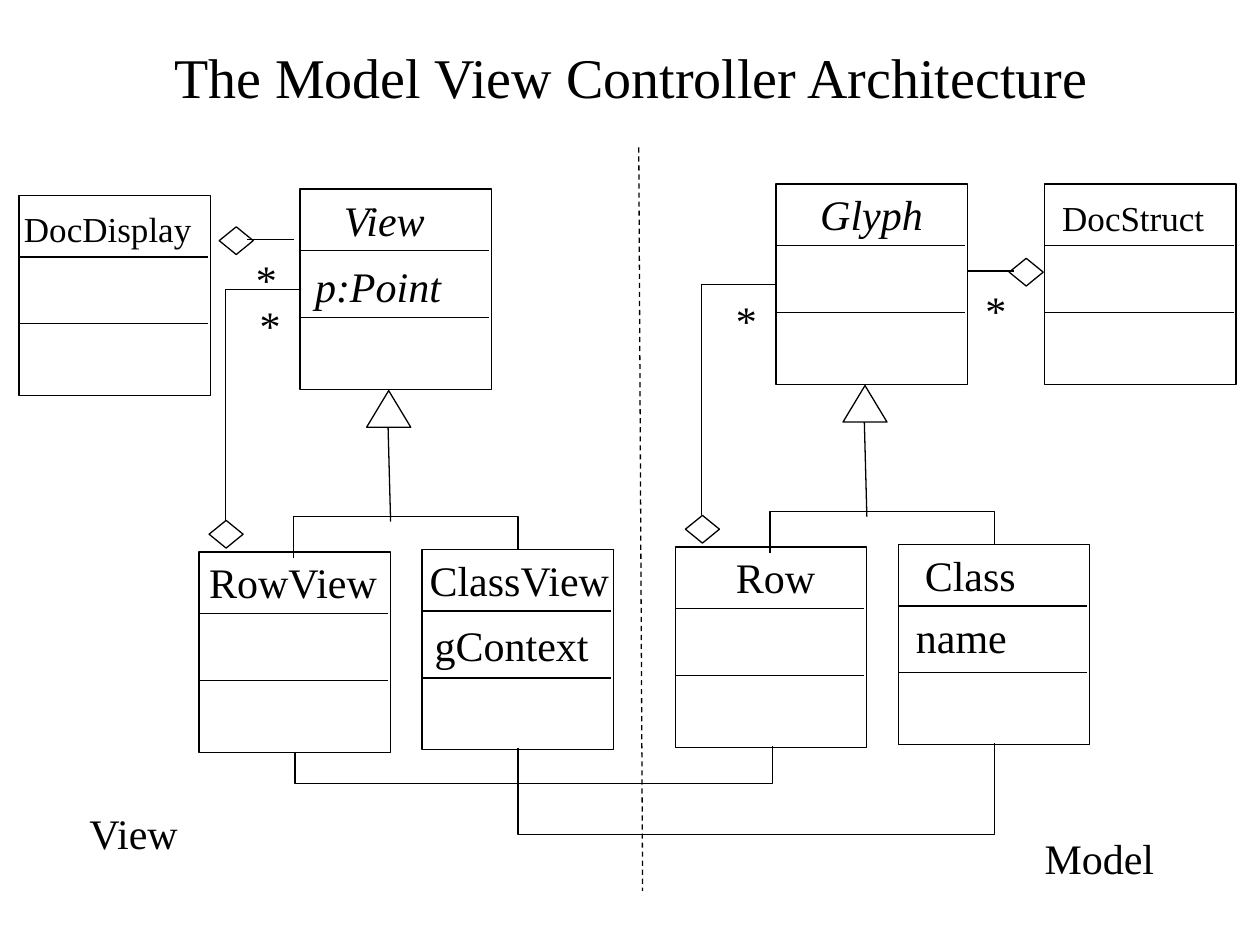
from lxml import etree
from pptx import Presentation
from pptx.dml.color import RGBColor
from pptx.enum import dml, shapes, text
from pptx.oxml.ns import qn
from pptx.util import Inches, Pt

BLACK = RGBColor(0, 0, 0)
FONT = "Times New Roman"
BOX_W, BOX_H = 1.52, 1.59
GEM_W, GEM_H = 0.27, 0.22
SLACK = 0.02  # keeps a label from breaking at its own width
SHAPE = shapes.MSO_SHAPE
LINK = shapes.MSO_CONNECTOR


def style(frame, words, size=24, italic=False, align=None):
    """Write one formatted paragraph into a text frame."""
    para = frame.paragraphs[0]
    para.alignment = align
    run = para.add_run()
    run.text = words
    run.font.name, run.font.size = FONT, Pt(size)
    run.font.italic, run.font.color.rgb = italic, BLACK


def label(tree, words, x, y, width, **form):
    height = form.get("size", 24) / 60
    area = tree.add_textbox(*map(Inches, (x, y, width + SLACK, height)))
    frame = area.text_frame
    frame.margin_left = frame.margin_right = 0
    frame.margin_top = frame.margin_bottom = 0
    frame.word_wrap = False
    frame.auto_size = text.MSO_AUTO_SIZE.SHAPE_TO_FIT_TEXT
    style(frame, words, **form)


def ink(part):
    part.line.color.rgb, part.line.width = BLACK, Pt(0.75)


def outline(tree, kind, x, y, width, height):
    part = tree.add_shape(kind, *map(Inches, (x, y, width, height)))
    part.shadow.inherit = False
    part.fill.background()
    ink(part)


def line(tree, x1, y1, x2, y2, kind=LINK.STRAIGHT):
    part = tree.add_connector(kind, *map(Inches, (x1, y1, x2, y2)))
    ink(part)
    etree.SubElement(part._element.spPr, qn("a:effectLst"))
    return part


def elbow(tree, x1, y1, x2, y2, rail=None):
    """Leave (x1, y1) vertically, by way of a rail if given, to (x2, y2)."""
    # The frame is turned a quarter, so its width is the vertical span
    wide, high = y1 - y2, x2 - x1
    left, top = (x1 + x2 - wide) / 2, (y1 + y2 - high) / 2
    part = line(tree, left, top, left + wide, top + high, LINK.ELBOW)
    props = part._element.spPr
    frame = props.find(qn("a:xfrm"))
    for name, value in (("rot", "5400000"), ("flipH", "1"), ("flipV", "1")):
        frame.set(name, value)
    geom = props.find(qn("a:prstGeom"))
    if rail is None:
        geom.set("prst", "bentConnector2")
        return
    guides = geom.find(qn("a:avLst"))
    if guides is None:
        guides = etree.SubElement(geom, qn("a:avLst"))
    share = round((y1 - rail) / wide * 100000)
    etree.SubElement(guides, qn("a:gd"), name="adj1", fmla=f"val {share}")


def box(tree, x, y, name, indent, width, **form):
    """Class box with three compartments and its name."""
    parts = tree.add_group_shape().shapes
    outline(parts, SHAPE.RECTANGLE, x, y, BOX_W, BOX_H)
    for drop in (0.49, 1.02):
        line(parts, x, y + drop, x + 1.5, y + drop)
    drop = 0.1 if form.get("size") == 20 else 0.04
    label(tree, name, x + indent, y + drop, width, **form)


def family(tree, x, y, base, row, leaf):
    """Base class with its two subclasses; each is name, indent, width."""
    box(tree, x + 0.8, y, *base, italic=True)
    box(tree, x, y + 2.88, *row)
    box(tree, x + 1.77, y + 2.86, *leaf)
    # Inheritance
    outline(tree, SHAPE.ISOSCELES_TRIANGLE, x + 1.33, y + 1.6, 0.35, 0.29)
    line(tree, x + 1.5, y + 1.89, x + 1.52, y + 2.64)
    elbow(tree, x + 0.75, y + 2.93, x + 2.53, y + 2.86, y + 2.6)
    # Aggregation of the base class by the row
    outline(tree, SHAPE.DIAMOND, x + 0.08, y + 2.63, GEM_W, GEM_H)
    elbow(tree, x + 0.21, y + 2.63, x + 0.8, y + 0.8)
    label(tree, "*", x + 0.48, y + 0.88, 0.17)


def owner(tree, x, y, name, indent, width, gem, wire, star):
    """Document class with its aggregation link."""
    box(tree, x, y, name, indent, width, size=20)
    outline(tree, SHAPE.DIAMOND, *gem, GEM_W, GEM_H)
    line(tree, *wire)
    label(tree, "*", *star, 0.17)


def heading(slide, x, y, width, height):
    title = slide.shapes.title
    title.left, title.top = Inches(x), Inches(y)
    title.width, title.height = Inches(width), Inches(height)
    frame = title.text_frame
    frame.vertical_anchor = text.MSO_ANCHOR.MIDDLE
    frame.auto_size = text.MSO_AUTO_SIZE.NONE
    style(frame, "The Model View Controller Architecture", size=32,
          align=text.PP_ALIGN.CENTER)


def main():
    deck = Presentation()
    deck.slide_width, deck.slide_height = Inches(10), Inches(7.5)
    slide = deck.slides.add_slide(deck.slide_layouts[5])
    tree = slide.shapes
    heading(slide, 0.23, 0.24, 9.56, 0.72)

    # Model side
    owner(tree, 8.29, 1.46, "DocStruct", 0.14, 1.13,
          (8.01, 2.05), (8.05, 2.15, 7.68, 2.15), (7.82, 2.26))
    family(tree, 5.36, 1.46, ("Glyph", 0.35, 0.82),
           ("Row", 0.48, 0.63), ("Class", 0.21, 0.72))
    label(tree, "name", 7.27, 4.85, 0.72)
    label(tree, "Model", 8.29, 6.61, 0.87)

    # View side
    owner(tree, 0.15, 1.55, "DocDisplay", 0.04, 1.33,
          (1.74, 1.8), (1.96, 1.9, 2.33, 1.9), (2.03, 2.01))
    family(tree, 1.58, 1.5, ("View", 0.35, 0.67),
           ("RowView", 0.08, 1.35), ("ClassView", 0.06, 1.45))
    label(tree, "p:Point", 2.5, 2.07, 1, italic=True)
    label(tree, "gContext", 3.45, 4.92, 1.22)
    label(tree, "View", 0.71, 6.41, 0.72)

    # Divider and the links across it
    split = line(tree, 5.07, 1.17, 5.1, 7.07)
    split.line.dash_style = dml.MSO_LINE.DASH
    elbow(tree, 2.34, 5.97, 6.13, 5.92, 6.22)
    elbow(tree, 4.11, 5.94, 7.89, 5.9, 6.62)
    deck.save("out.pptx")


if __name__ == "__main__":
    main()
